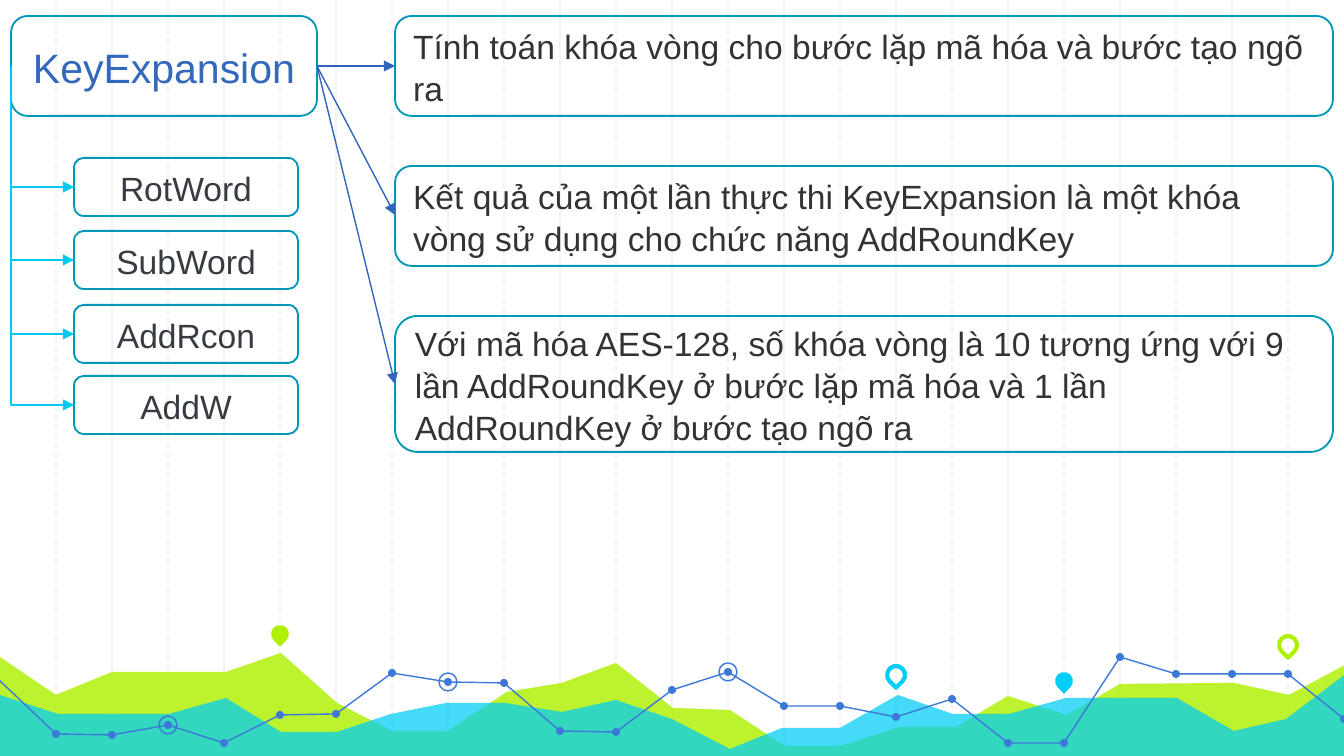
from lxml import etree
from pptx import Presentation
from pptx.dml.color import RGBColor
from pptx.enum.dml import MSO_LINE
from pptx.enum.shapes import MSO_CONNECTOR, MSO_SHAPE
from pptx.enum.text import MSO_ANCHOR, PP_ALIGN
from pptx.oxml.ns import qn
from pptx.util import Emu, Pt

STRAIGHT, ELBOW = MSO_CONNECTOR.STRAIGHT, MSO_CONNECTOR.ELBOW
ROUNDED, OVAL, TEAR = MSO_SHAPE.ROUNDED_RECTANGLE, MSO_SHAPE.OVAL, MSO_SHAPE.TEAR
LEFT, CENTER, MIDDLE = PP_ALIGN.LEFT, PP_ALIGN.CENTER, MSO_ANCHOR.MIDDLE
DASH = MSO_LINE.DASH

EMU_PER_PIXEL = 914400 / 134.4
WIDTH, HEIGHT = 1344, 756
STEP = 56
FONT = "Arial"
COLORS = {
    "grid": "F3F3F3", "lime": "AFF000", "cyan": "00CEF6", "chart": "3C78D8",
    "border": "0098B6", "title": "3468BC", "body": "333333", "step": "383B42",
    "arrow": "3065BB", "branch": "00C9F1",
}

LIME_AREA = [
    (-3, 655), (56, 695), (112, 672), (226, 672), (281, 653), (337, 703),
    (392, 731), (448, 731), (507, 692), (562, 683), (616, 663), (673, 708),
    (730, 710), (785, 746), (841, 746), (900, 727), (956, 727), (1008, 696),
    (1067, 715), (1120, 684), (1234, 683), (1289, 695), (1347, 664),
    (1345, 758), (-4, 758)]
CYAN_AREA = [
    (-3, 694), (58, 714), (169, 714), (226, 698), (281, 732), (337, 732),
    (391, 714), (446, 703), (505, 703), (562, 712), (616, 700), (672, 719),
    (730, 749), (782, 728), (840, 728), (898, 695), (953, 714), (1009, 714),
    (1066, 698), (1177, 698), (1234, 731), (1286, 719), (1347, 673),
    (1347, 759), (-4, 759)]
NODE_HEIGHTS = [
    734, 735, 725, 743, 715, 714, 673, 682, 683, 731, 732, 690,
    672, 706, 706, 717, 699, 743, 743, 657, 674, 674, 674, 719]
RINGED_NODES = (2, 7, 12)
CURVE_BREAKS = [(0, 12), (11, 21), (20, 25)]
PINS = [(280, 634, "lime", True), (896, 675, "cyan", False),
        (1064, 681, "cyan", True), (1288, 645, "lime", False)]

TITLE_BOX = (11, 16, 306, 100)
NOTES = [
    (16, 100, 66, "Tính toán khóa vòng cho bước lặp mã hóa và bước tạo ngõ ra"),
    (166, 100, 215, "Kết quả của một lần thực thi KeyExpansion là một khóa vòng "
                    "sử dụng cho chức năng AddRoundKey"),
    (316, 136, 384, "Với mã hóa AES-128, số khóa vòng là 10 tương ứng với 9 lần "
                    "AddRoundKey ở bước lặp mã hóa và 1 lần AddRoundKey ở bước "
                    "tạo ngõ ra"),
]
STEPS = [(158, 66, "RotWord"), (231, 124, "SubWord"),
         (305, 116, "AddRcon"), (376, 116, "AddW")]


def px(value):
    """Turn picture pixels into EMU."""
    return Emu(round(value * EMU_PER_PIXEL))


def rgb(name):
    """Look up a named colour."""
    return RGBColor.from_string(COLORS[name])


def paint(shape, fill=None, line=None, width=0.75):
    """Set fill and outline, leaving out whatever is not named."""
    shape.shadow.inherit = False
    if fill:
        shape.fill.solid()
        shape.fill.fore_color.rgb = rgb(fill)
    else:
        shape.fill.background()
    if line:
        shape.line.color.rgb = rgb(line)
        shape.line.width = Pt(width)
    else:
        shape.line.fill.background()


def add_line(slide, start, end, color, kind=STRAIGHT, arrow=False, dash=None):
    """Add a straight or elbow connector; elbows turn at their start."""
    line = slide.shapes.add_connector(kind, *map(px, (*start, *end)))
    line.line.color.rgb = rgb(color)
    line.line.width = Pt(0.75)
    if dash:
        line.line.dash_style = dash
    properties = line._element.spPr
    if arrow:
        etree.SubElement(line.line._get_or_add_ln(), qn("a:tailEnd"), type="triangle")
    if kind == ELBOW:
        guides = properties.find(qn("a:prstGeom")).get_or_add_avLst()
        etree.SubElement(guides, qn("a:gd"), name="adj1", fmla="val 0")
    etree.SubElement(properties, qn("a:effectLst"))


def add_path(slide, points, closed):
    """Add a freeform through the given pixel points."""
    (x, y), *others = [(px(a), px(b)) for a, b in points]
    builder = slide.shapes.build_freeform(x, y)
    builder.add_line_segments(others, close=closed)
    return builder.convert_to_shape()


def add_area(slide, points, color, opacity):
    """Add a translucent filled area."""
    area = add_path(slide, points, True)
    paint(area, fill=color)
    solid = area._element.spPr.find(qn("a:solidFill"))
    etree.SubElement(solid[0], qn("a:alpha"), val=str(opacity * 1000))


def add_marker(slide, kind, x, y, size, **style):
    """Add a small shape centred on a point."""
    marker = slide.shapes.add_shape(
        kind, px(x - size / 2), px(y - size / 2), px(size), px(size))
    paint(marker, **style)
    return marker


def add_box(slide, box, text, size, color, align):
    """Add an outlined rounded box with text."""
    shape = slide.shapes.add_shape(ROUNDED, *map(px, box))
    paint(shape, line="border", width=1)
    frame = shape.text_frame
    frame.word_wrap = True
    frame.vertical_anchor = MIDDLE
    paragraph = frame.paragraphs[0]
    paragraph.alignment = align
    paragraph.line_spacing = 1.05
    run = paragraph.add_run()
    run.text = text
    run.font.name, run.font.size = FONT, Pt(size)
    run.font.color.rgb = rgb(color)


def add_backdrop(slide):
    """Draw the grid, the areas, the curve and its markers."""
    for first, dash in ((2 * STEP, None), (STEP, DASH)):
        for x in range(first, WIDTH, 2 * STEP):
            add_line(slide, (x, 0), (x, HEIGHT), "grid", dash=dash)
    add_area(slide, LIME_AREA, "lime", 82)
    add_area(slide, CYAN_AREA, "cyan", 73)
    for x, y, color, filled in PINS:
        style = {"fill": color} if filled else {"line": color, "width": 2.25}
        pin = add_marker(slide, TEAR, x, y, 18, **style)
        pin.adjustments[0] = 1
        pin.rotation = 135
    nodes = [(STEP * i, y) for i, y in enumerate(NODE_HEIGHTS, 1)]
    curve = [(-1, 680)] + nodes
    for first, last in CURVE_BREAKS:
        paint(add_path(slide, curve[first:last], False), line="chart")
    for x, y in nodes:
        add_marker(slide, OVAL, x, y, 8, fill="chart")
    for index in RINGED_NODES:
        add_marker(slide, OVAL, *nodes[index], 18, line="chart")


def add_diagram(slide):
    """Draw the title box, its notes and its steps."""
    add_box(slide, TITLE_BOX, "KeyExpansion", 22, "title", CENTER)
    for top, height, target, text in NOTES:
        add_box(slide, (395, top, 938, height), text, 18, "body", LEFT)
        add_line(slide, (317, 66), (395, target), "arrow", arrow=True)
    for top, _, text in STEPS:
        add_box(slide, (74, top, 224, 58), text, 18, "step", CENTER)
    for top, start, _ in STEPS:
        add_line(slide, (11, start), (74, top + 29), "branch", ELBOW, arrow=True)


def main():
    """Build and save the slide."""
    presentation = Presentation()
    presentation.slide_width, presentation.slide_height = px(WIDTH), px(HEIGHT)
    slide = presentation.slides.add_slide(presentation.slide_layouts[6])
    add_backdrop(slide)
    add_diagram(slide)
    presentation.save("out.pptx")


main()
